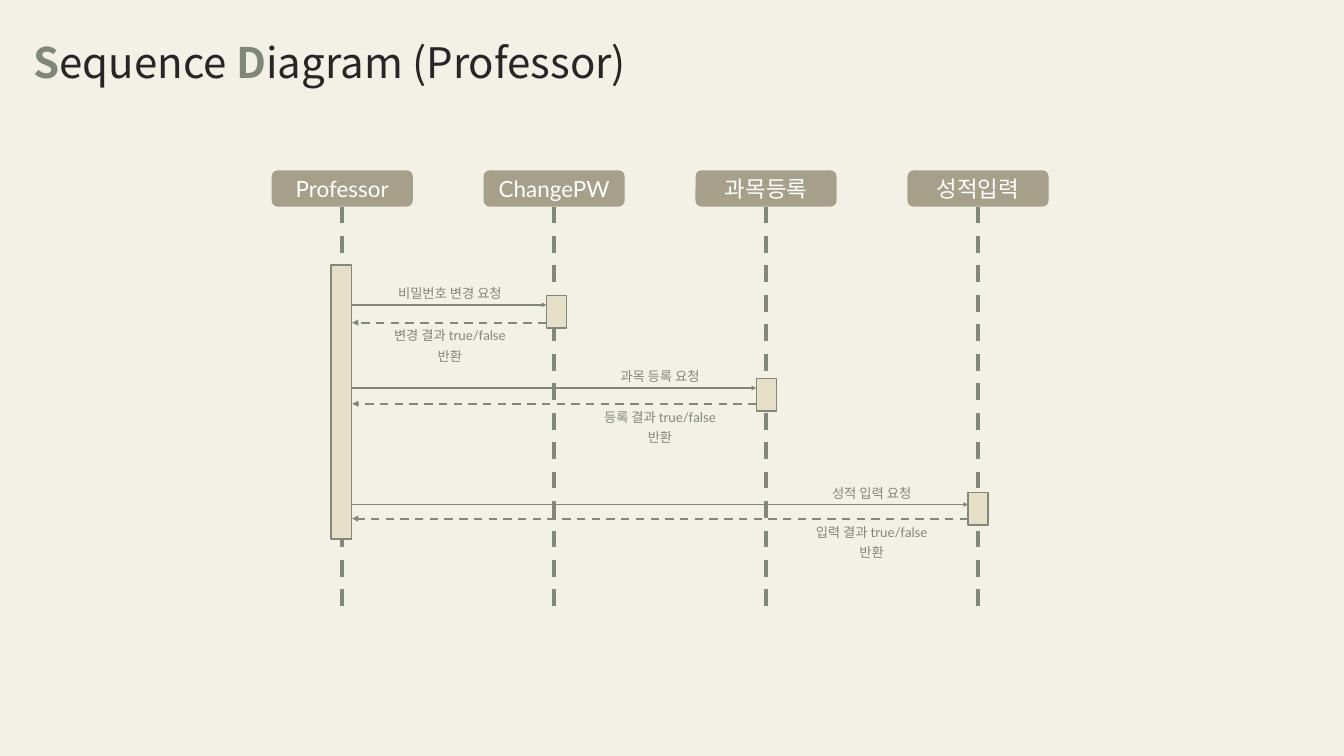
import pptx
import pptx.dml.color
import pptx.enum.dml
import pptx.enum.shapes
import pptx.enum.text
import pptx.oxml.ns
import pptx.util
from lxml import etree

COLORS = {
    "paper": "F3F1E6",
    "header": "A6A08A",
    "activation": "E4DFC6",
    "sage": "818779",
    "ink": "262626",
    "white": "FFFFFF",
}
LATIN, KOREAN = "Lato", "Noto Sans CJK KR"
SHAPES = pptx.enum.shapes.MSO_SHAPE
ALIGN = pptx.enum.text.PP_ALIGN


def color(name):
    return pptx.dml.color.RGBColor.from_string(COLORS[name])


class Diagram:
    """Places elements in percent of the slide's width and height."""

    def __init__(self, deck):
        self.deck = deck
        self.slide = deck.slides.add_slide(deck.slide_layouts[5])
        background = self.slide.background.fill
        background.solid()
        background.fore_color.rgb = color("paper")

    def x(self, share):
        return round(self.deck.slide_width * share / 100)

    def y(self, share):
        return round(self.deck.slide_height * share / 100)

    def box(self, left, top, width, height):
        return self.x(left), self.y(top), self.x(width), self.y(height)

    def add_text(self, shape, runs, size, font=LATIN, align=ALIGN.CENTER, spacing=1.3):
        frame = shape.text_frame
        frame.word_wrap = True
        frame.auto_size = pptx.enum.text.MSO_AUTO_SIZE.SHAPE_TO_FIT_TEXT
        frame.vertical_anchor = pptx.enum.text.MSO_ANCHOR.MIDDLE
        inset = pptx.util.Inches(0.06)
        frame.margin_left = frame.margin_right = inset
        frame.margin_top = frame.margin_bottom = inset
        paragraph = frame.paragraphs[0]
        paragraph.alignment = align
        paragraph.line_spacing = spacing
        for text, ink, bold in runs:
            run = paragraph.add_run()
            run.text = text
            run.font.size = pptx.util.Pt(size)
            run.font.name = font
            run.font.bold = bold
            run.font.color.rgb = color(ink)
            east_asian = etree.SubElement(run.font._element, pptx.oxml.ns.qn("a:ea"))
            east_asian.set("typeface", KOREAN)

    def title(self, area, runs):
        heading = self.slide.shapes.title
        heading.left, heading.top, heading.width, heading.height = self.box(*area)
        self.add_text(heading, runs, 60, KOREAN, ALIGN.LEFT)

    def panel(self, kind, area, fill):
        panel = self.slide.shapes.add_shape(kind, *self.box(*area))
        panel.shadow.inherit = False
        panel.fill.solid()
        panel.fill.fore_color.rgb = color(fill)
        return panel

    def header(self, area, name):
        header = self.panel(SHAPES.ROUNDED_RECTANGLE, area, "header")
        header.line.fill.background()
        self.add_text(header, [(name, "white", False)], 32, spacing=1.0)

    def activation(self, *area):
        bar = self.panel(SHAPES.RECTANGLE, area, "activation")
        bar.line.color.rgb = color("sage")
        bar.line.width = pptx.util.Pt(2.25)

    def label(self, area, text):
        label = self.slide.shapes.add_textbox(*self.box(*area))
        self.add_text(label, [(text, "sage", False)], 19)

    def line(self, start, end, width, dashed=False, arrow=False):
        line = self.slide.shapes.add_connector(
            pptx.enum.shapes.MSO_CONNECTOR.STRAIGHT,
            self.x(start[0]), self.y(start[1]), self.x(end[0]), self.y(end[1]))
        line.line.color.rgb = color("sage")
        line.line.width = pptx.util.Pt(width)
        if dashed:
            line.line.dash_style = pptx.enum.dml.MSO_LINE.DASH
        properties = line._element.spPr
        if arrow:
            outline = properties.find(pptx.oxml.ns.qn("a:ln"))
            tail = etree.SubElement(outline, pptx.oxml.ns.qn("a:tailEnd"))
            tail.set("type", "triangle")
        etree.SubElement(properties, pptx.oxml.ns.qn("a:effectLst"))


PARTICIPANTS = ["Professor", "ChangePW", "과목등록", "성적입력"]
FIRST_LANE, LANE_STEP = 25.46, 15.77
HEADER_TOP, HEADER_WIDTH, HEADER_HEIGHT = 22.53, 10.5, 4.8
LIFELINE_END = 81
CALLER_EDGE = 26.2
LABEL_SHIFT, LABEL_WIDTH = 12.07, 9.79

CALLS = [
    (40.65, 39.07, 40.33, 42.67, "비밀번호 변경 요청", "변경 결과 true/false 반환"),
    (56.28, 50.07, 51.33, 53.4, "과목 등록 요청", "등록 결과 true/false 반환"),
    (72.03, 65.13, 66.73, 68.6, "성적 입력 요청", "입력 결과 true/false 반환"),
]


def main():
    deck = pptx.Presentation()
    deck.slide_width = pptx.util.Inches(26.67)
    deck.slide_height = pptx.util.Inches(15)
    diagram = Diagram(deck)
    diagram.title((2.25, 2.47, 44.81, 9.47), [
        ("S", "sage", True), ("equence", "ink", False),
        (" D", "sage", True), ("iagram (Professor)", "ink", False)])

    for index, name in enumerate(PARTICIPANTS):
        lane = FIRST_LANE + index * LANE_STEP
        diagram.header((lane - HEADER_WIDTH / 2, HEADER_TOP, HEADER_WIDTH, HEADER_HEIGHT), name)
        diagram.line((lane, HEADER_TOP + HEADER_HEIGHT), (lane, LIFELINE_END), 6, dashed=True)

    diagram.activation(24.63, 35.07, 1.54, 36.2)
    for callee, top, request_y, reply_y, request, reply in CALLS:
        diagram.activation(callee, top, 1.5, 4.33)
        diagram.line((CALLER_EDGE, request_y), (callee, request_y), 2.25, arrow=True)
        diagram.line((callee, reply_y), (CALLER_EDGE, reply_y), 3, dashed=True, arrow=True)
        label_left = callee - LABEL_SHIFT
        diagram.label((label_left, request_y - 3.6, LABEL_WIDTH, 3.53), request)
        diagram.label((label_left, reply_y - 0.35, LABEL_WIDTH, 6.27), reply)

    deck.save("out.pptx")


if __name__ == "__main__":
    main()
